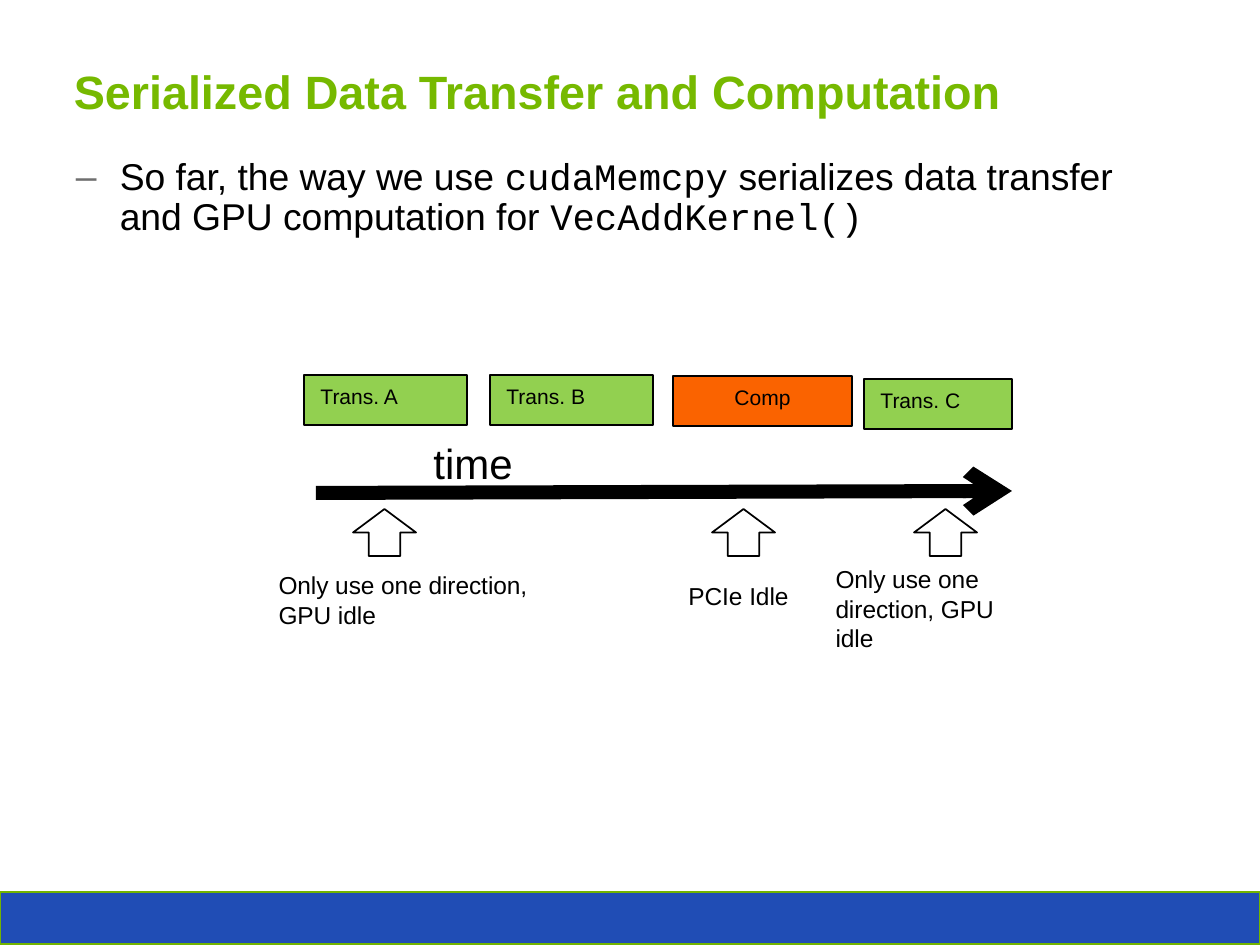
"""Build the slide on serialized data transfer and computation."""
from lxml.etree import SubElement
from pptx import Presentation
from pptx.dml.color import RGBColor
from pptx.enum.shapes import MSO_CONNECTOR as Connector, MSO_SHAPE as Shape
from pptx.enum.text import MSO_ANCHOR as Anchor, MSO_AUTO_SIZE as AutoSize, PP_ALIGN as Align
from pptx.oxml.ns import qn
from pptx.util import Emu, Pt

BLACK = RGBColor(0x00, 0x00, 0x00)
TITLE_GREEN = RGBColor(0x76, 0xB9, 0x00)
EDGE_GREEN = RGBColor(0x72, 0xB4, 0x00)
TRANSFER_GREEN = RGBColor(0x92, 0xD0, 0x50)
COMPUTE_ORANGE = RGBColor(0xFA, 0x63, 0x00)
FOOTER_BLUE = RGBColor(0x20, 0x4D, 0xB5)
PX = 914400 / 168


def place(kind, box, fill, edge):
    shape = page.shapes.add_shape(kind, *(Emu(round(n * PX)) for n in box))
    shape.shadow.inherit = False
    if fill is None:
        shape.fill.background()
    else:
        shape.fill.solid()
        shape.fill.fore_color.rgb = fill
    shape.line.color.rgb = edge
    shape.line.width = Pt(0.75)
    return shape


def write(shape, spans, size, align=Align.LEFT, color=BLACK, bold=False, **frame_format):
    frame = shape.text_frame
    for name, value in {"word_wrap": True, "vertical_anchor": Anchor.TOP,
                        "auto_size": AutoSize.NONE, **frame_format}.items():
        setattr(frame, name, value)
    para = frame.paragraphs[0]
    para.alignment = align
    for text, font in spans:
        span = para.add_run()
        span.text = text
        span.font.color.rgb = color
        for name, value in {"name": font, "size": Pt(size), "bold": bold}.items():
            setattr(span.font, name, value)
    return para


deck = Presentation()
deck.slide_width, deck.slide_height = Emu(round(1260 * PX)), Emu(round(945 * PX))
page = deck.slides.add_slide(deck.slide_layouts[1])
title, body = page.placeholders

place(Shape.RECTANGLE, (0, 892, 1260, 52), FOOTER_BLUE, EDGE_GREEN)

for holder, box in ((title, (57, 54, 1146, 74)), (body, (59, 150, 1142, 739))):
    for side, length in zip(("left", "top", "width", "height"), box):
        setattr(holder, side, Emu(round(length * PX)))

write(title, [("Serialized Data Transfer and Computation", "Arial")], 20,
      color=TITLE_GREEN, bold=True, vertical_anchor=Anchor.MIDDLE)
bullet = write(body, [("So far, the way we use ", "Arial"), ("cudaMemcpy", "Courier New"),
                      (" serializes data transfer and GPU computation for ", "Arial"),
                      ("VecAddKernel()", "Courier New")], 16)
for name, value in {"line_spacing": 0.9, "space_before": Pt(1.9), "space_after": Pt(1.9)}.items():
    setattr(bullet, name, value)
bullet_format = bullet._p.get_or_add_pPr()
indent = round(44 * PX)
bullet_format.set("marL", str(indent))
bullet_format.set("indent", str(-indent))
SubElement(SubElement(bullet_format, qn("a:buClr")), qn("a:srgbClr"), val="6F6F6F")
SubElement(bullet_format, qn("a:buFont"), typeface="Arial")
SubElement(bullet_format, qn("a:buChar"), char="–")

for label, left, top, width, fill, align in (
        ("Trans. A", 304, 375, 163, TRANSFER_GREEN, Align.LEFT),
        ("Trans. B", 490, 375, 163, TRANSFER_GREEN, Align.LEFT),
        ("Comp", 673, 376, 179, COMPUTE_ORANGE, Align.CENTER),
        ("Trans. C", 864, 379, 148, TRANSFER_GREEN, Align.LEFT)):
    stage = place(Shape.RECTANGLE, (left, top, width, 50), fill, BLACK)
    write(stage, [(label, "Arial")], 9, align)

timeline = page.shapes.add_connector(
    Connector.STRAIGHT, *(Emu(round(n * PX)) for n in (316, 493, 1012, 491)))
timeline.line.color.rgb = BLACK
timeline.line.width = Pt(6)
SubElement(timeline.line._get_or_add_ln(), qn("a:tailEnd"), type="arrow")
SubElement(timeline._element.spPr, qn("a:effectLst"))

for left in (353, 712, 914):
    place(Shape.UP_ARROW, (left, 509, 63, 47), None, BLACK)

for text, box, size, wrap in (
        ("time", (417, 429, 114, 67), 18, False),
        ("Only use one direction, GPU idle", (262, 562, 296, 76), 10.5, True),
        ("PCIe Idle", (672, 573, 136, 47), 10.5, False),
        ("Only use one direction, GPU idle", (819, 556, 223, 106), 10.5, True)):
    note = page.shapes.add_textbox(*(Emu(round(n * PX)) for n in box))
    write(note, [(text, "Arial")], size, word_wrap=wrap, auto_size=AutoSize.SHAPE_TO_FIT_TEXT)

deck.save("out.pptx")
